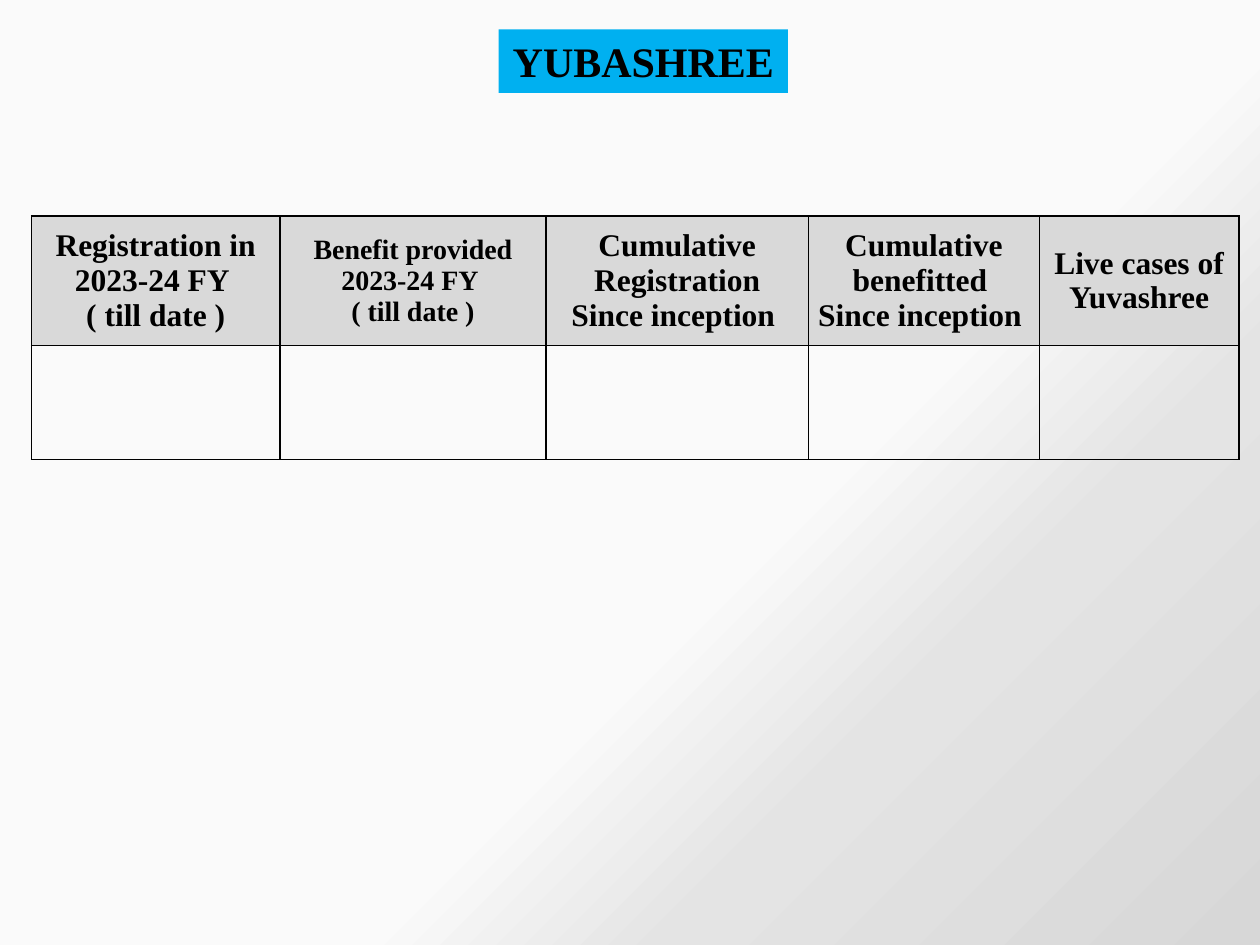
from lxml.etree import SubElement
from pptx import Presentation
from pptx.dml.color import RGBColor
from pptx.enum.shapes import MSO_SHAPE
from pptx.enum.text import MSO_ANCHOR, MSO_AUTO_SIZE, PP_ALIGN
from pptx.oxml.ns import qn
from pptx.util import Pt

# Content
TITLE = "YUBASHREE"
HEADINGS = [  # paragraphs, text size
    (["Registration in 2023-24 FY ", "( till date )"], 18),
    (["Benefit provided 2023-24 FY ", "( till date )"], 16),
    (["Cumulative Registration", "Since inception "], 18),
    (["Cumulative benefitted ", "Since inception "], 18),
    (["Live cases of Yuvashree"], 18),
]
COLUMN_WIDTHS = [142, 152, 150, 132, 114]
ROW_HEIGHTS = [74, 65]
BACKGROUND_STOPS = [(0, "FAFAFA"), (59, "FAFAFA"), (73, "E4E4E4"), (100, "D7D7D7")]
BLACK, BLUE, GREY = "000000", "00B0F0", "D9D9D9"
CELL_FORMAT = {
    "vertical_anchor": MSO_ANCHOR.MIDDLE,
    "margin_left": Pt(5.4), "margin_right": Pt(5.4),
    "margin_top": Pt(2.7), "margin_bottom": Pt(2.7),
}


def color(value):
    return RGBColor.from_string(value)


def set_format(target, values):
    for name, value in values.items():
        setattr(target, name, value)


def write(frame, lines, size):
    for index, line in enumerate(lines):
        para = frame.paragraphs[0] if index == 0 else frame.add_paragraph()
        para.alignment = PP_ALIGN.CENTER
        span = para.add_run()
        span.text = line
        set_format(span.font, {"name": "Times New Roman", "size": Pt(size), "bold": True})
        span.font.color.rgb = color(BLACK)


def add_borders(cell):
    properties = cell._tc.get_or_add_tcPr()
    for index, side in enumerate(("lnL", "lnR", "lnT", "lnB")):
        line = SubElement(properties, qn(f"a:{side}"), w=str(Pt(1)))
        fill = SubElement(line, qn("a:solidFill"))
        SubElement(fill, qn("a:srgbClr"), val=BLACK)
        properties.insert(index, line)


deck = Presentation()
deck.slide_width, deck.slide_height = Pt(720), Pt(540)
page = deck.slides.add_slide(deck.slide_layouts[6])

# Diagonal background gradient
page.background.fill.gradient()
gradient = page._element.find(".//" + qn("a:gradFill"))
stops = gradient.find(qn("a:gsLst"))
for stop in list(stops):
    stops.remove(stop)
for position, value in BACKGROUND_STOPS:
    stop = SubElement(stops, qn("a:gs"), pos=str(position * 1000))
    SubElement(stop, qn("a:srgbClr"), val=value)
gradient.find(qn("a:lin")).set("ang", str(45 * 60000))

# Title
box = page.shapes.add_shape(MSO_SHAPE.RECTANGLE, Pt(285), Pt(16.8), Pt(165.3), Pt(36.35))
box.shadow.inherit = False
box.fill.solid()
box.fill.fore_color.rgb = color(BLUE)
box.line.fill.background()
set_format(box.text_frame, {"word_wrap": False, "auto_size": MSO_AUTO_SIZE.SHAPE_TO_FIT_TEXT})
write(box.text_frame, [TITLE], 24)

# Table
table = page.shapes.add_table(
    len(ROW_HEIGHTS), len(COLUMN_WIDTHS), Pt(18), Pt(123.5),
    Pt(sum(COLUMN_WIDTHS)), Pt(sum(ROW_HEIGHTS))).table
for column, width in zip(table.columns, COLUMN_WIDTHS):
    column.width = Pt(width)
for row, height in zip(table.rows, ROW_HEIGHTS):
    row.height = Pt(height)
for cell in table.iter_cells():
    set_format(cell, CELL_FORMAT)
    cell.fill.background()
    add_borders(cell)
for cell, (lines, size) in zip(table.rows[0].cells, HEADINGS):
    cell.fill.solid()
    cell.fill.fore_color.rgb = color(GREY)
    write(cell.text_frame, lines, size)

deck.save("out.pptx")
